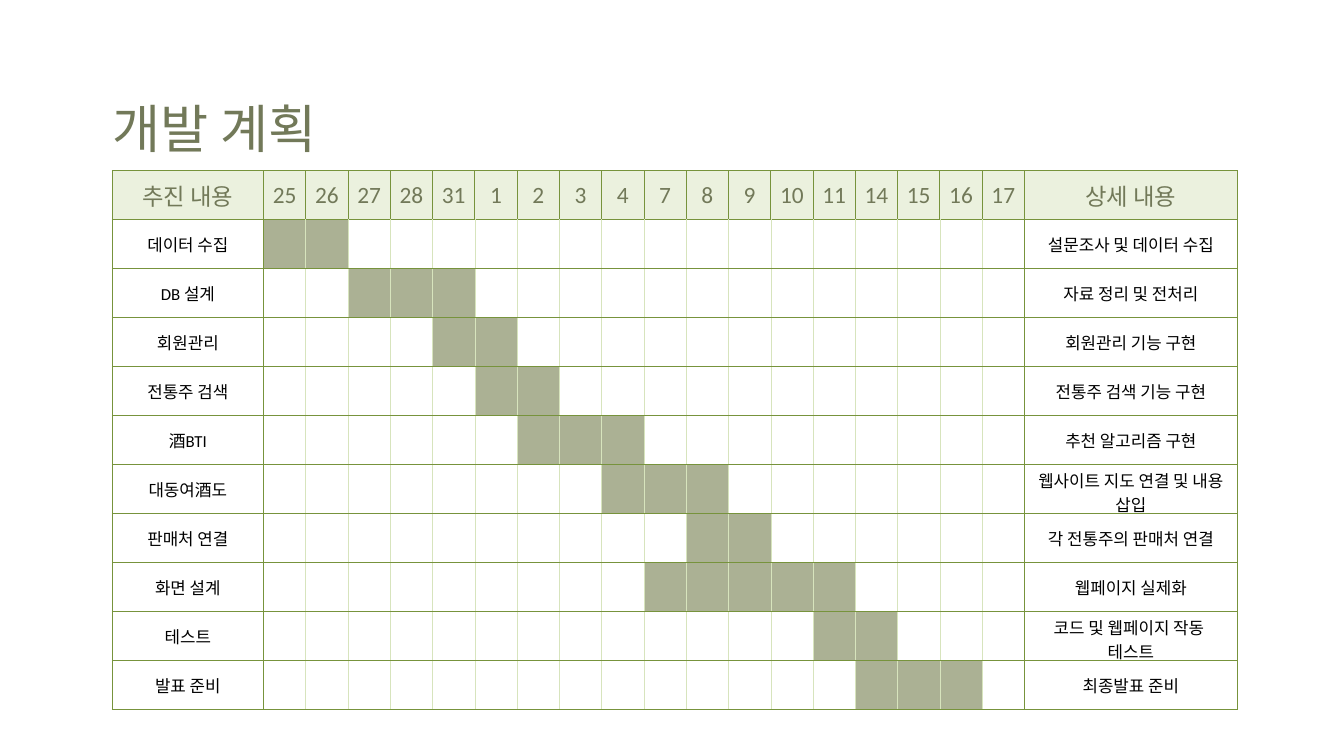
from lxml import etree
from pptx import Presentation
from pptx.dml.color import RGBColor
from pptx.enum import text
from pptx.oxml import ns
from pptx.util import Pt

OLIVE = RGBColor(0x72, 0x79, 0x59)
BLACK = RGBColor(0x00, 0x00, 0x00)
HEAD_FILL = RGBColor(0xEB, 0xF1, 0xDE)
BAR_FILL = RGBColor(0xAB, 0xB1, 0x94)
STRONG = (RGBColor(0x77, 0x93, 0x3C), 1)
FAINT = (RGBColor(0xD7, 0xE4, 0xBD), 0.5)

TITLE_FONT = {"name": "Calibri", "size": Pt(56), "bold": False}
HEAD_FONT = {"name": "Calibri", "size": Pt(25), "bold": False}
BODY_FONT = {"name": "Calibri", "size": Pt(18), "bold": False}

LEFT, TOP = 120.24, 182.9
LABEL_W, DAY_W, DETAIL_W, ROW_H = 162, 45.3, 228, 52.5

DAYS = [25, 26, 27, 28, 31, 1, 2, 3, 4, 7, 8, 9, 10, 11, 14, 15, 16, 17]
# task, index of the first day, number of days, details
TASKS = [
    ("데이터 수집", 0, 2, "설문조사 및 데이터 수집"),
    ("DB 설계", 2, 3, "자료 정리 및 전처리"),
    ("회원관리", 4, 2, "회원관리 기능 구현"),
    ("전통주 검색", 5, 2, "전통주 검색 기능 구현"),
    ("酒BTI", 6, 3, "추천 알고리즘 구현"),
    ("대동여酒도", 8, 3, "웹사이트 지도 연결 및 내용 삽입"),
    ("판매처 연결", 10, 2, "각 전통주의 판매처 연결"),
    ("화면 설계", 9, 5, "웹페이지 실제화"),
    ("테스트", 13, 2, "코드 및 웹페이지 작동 \n테스트"),
    ("발표 준비", 14, 3, "최종발표 준비"),
]


class Deck:
    def __init__(self, width, height):
        self.prs = Presentation()
        self.prs.slide_width, self.prs.slide_height = Pt(width), Pt(height)
        self.s = self.prs.slides.add_slide(self.prs.slide_layouts[5])

    def style(self, p, fmt, color):
        for r in p.runs:
            for name, value in fmt.items():
                setattr(r.font, name, value)
            r.font.color.rgb = color

    def title(self, words, x, y, w, h):
        sp = self.s.shapes.title
        place = {"left": x, "top": y, "width": w, "height": h}
        for name, value in place.items():
            setattr(sp, name, Pt(value))
        tf = sp.text_frame
        tf.text = words
        tf.word_wrap = True
        tf.auto_size = text.MSO_AUTO_SIZE.SHAPE_TO_FIT_TEXT
        tf.vertical_anchor = text.MSO_ANCHOR.TOP
        for side in ("left", "top", "right", "bottom"):
            setattr(tf, f"margin_{side}", 0)
        p = tf.paragraphs[0]
        p.alignment = text.PP_ALIGN.LEFT
        p.line_spacing = Pt(78.4)
        self.style(p, TITLE_FONT, OLIVE)

    def table(self, x, y, widths, heights):
        frame = self.s.shapes.add_table(len(heights), len(widths), Pt(x), Pt(y),
                                        Pt(sum(widths)), Pt(sum(heights)))
        table = frame.table
        table.first_row = table.horz_banding = False
        for col, width in zip(table.columns, widths):
            col.width = Pt(width)
        for row, height in zip(table.rows, heights):
            row.height = Pt(height)
        return table

    def cell(self, cell, words="", fmt=BODY_FONT, color=BLACK, fill=None,
             left=STRONG, right=STRONG):
        cell.vertical_anchor = text.MSO_ANCHOR.MIDDLE
        if words:
            cell.text = words
        for p in cell.text_frame.paragraphs:
            p.alignment = text.PP_ALIGN.CENTER
            self.style(p, fmt, color)
        self.borders(cell, {"L": left, "R": right, "T": STRONG, "B": STRONG})
        if fill is None:
            cell.fill.background()
        else:
            cell.fill.solid()
            cell.fill.fore_color.rgb = fill

    def borders(self, cell, sides):
        tc_pr = cell._tc.get_or_add_tcPr()
        for side, (color, width) in sides.items():
            ln = etree.SubElement(tc_pr, ns.qn(f"a:ln{side}"), w=str(Pt(width)))
            solid = etree.SubElement(ln, ns.qn("a:solidFill"))
            etree.SubElement(solid, ns.qn("a:srgbClr"), val=str(color))


def main():
    deck = Deck(1440, 810)
    deck.title("개발 계획", LEFT, 92.2, 521.3, 74.2)

    last = len(DAYS) - 1
    table = deck.table(LEFT, TOP, [LABEL_W] + [DAY_W] * len(DAYS) + [DETAIL_W],
                       [ROW_H] * (len(TASKS) + 1))
    for col, words in enumerate(["추진 내용", *map(str, DAYS), "상세 내용"]):
        deck.cell(table.cell(0, col), words, HEAD_FONT, OLIVE, HEAD_FILL)

    for row, (task, start, length, details) in enumerate(TASKS, 1):
        deck.cell(table.cell(row, 0), task)
        for day in range(len(DAYS)):
            deck.cell(table.cell(row, day + 1),
                      fill=BAR_FILL if start <= day < start + length else None,
                      left=STRONG if day == 0 else FAINT,
                      right=STRONG if day == last else FAINT)
        deck.cell(table.cell(row, last + 2), details)

    deck.prs.save("out.pptx")


if __name__ == "__main__":
    main()
